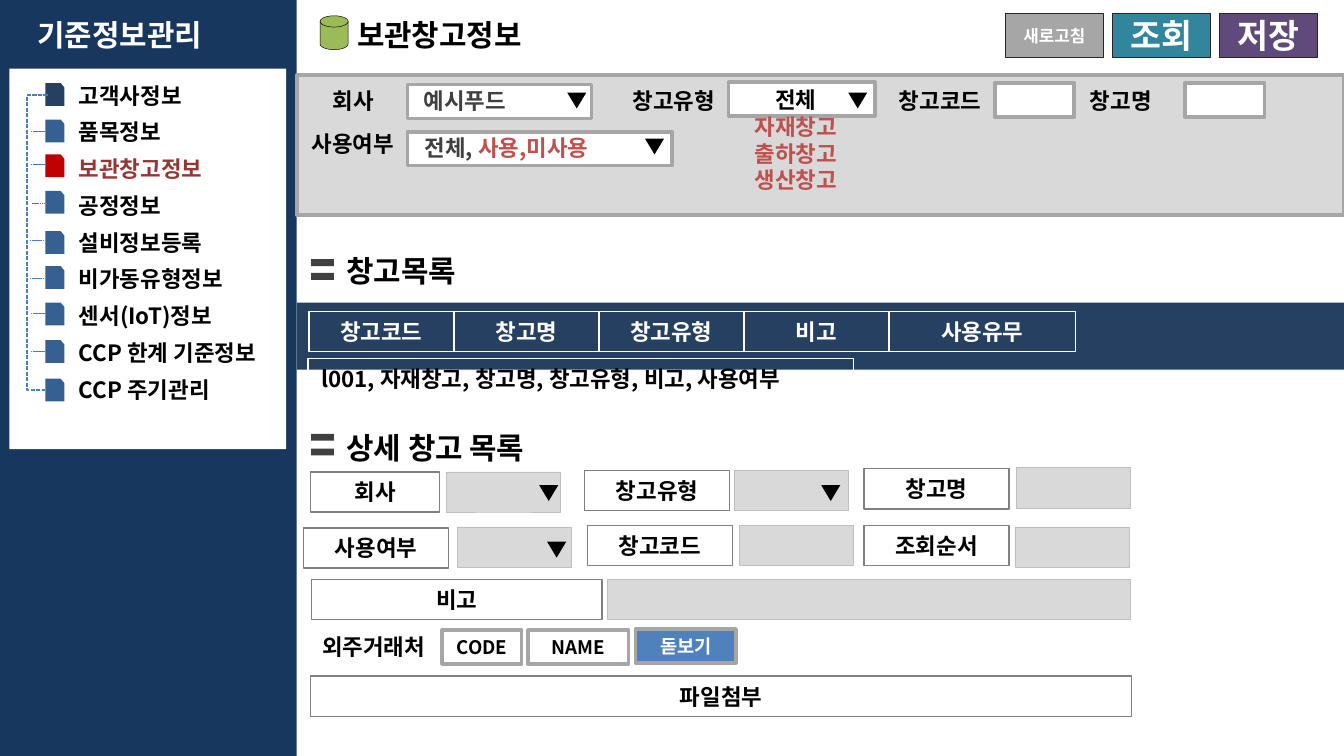
from dataclasses import dataclass
from lxml import etree
from pptx import Presentation
from pptx.dml.color import RGBColor
from pptx.enum.dml import MSO_LINE
from pptx.enum.shapes import MSO_CONNECTOR, MSO_SHAPE
from pptx.enum.text import MSO_ANCHOR, PP_ALIGN
from pptx.oxml.ns import qn
from pptx.util import Cm, Pt

RECT, TRIANGLE = MSO_SHAPE.RECTANGLE, MSO_SHAPE.ISOSCELES_TRIANGLE
CARD, DISK = MSO_SHAPE.FLOWCHART_CARD, MSO_SHAPE.FLOWCHART_MAGNETIC_DISK
STRAIGHT, ELBOW = MSO_CONNECTOR.STRAIGHT, MSO_CONNECTOR.ELBOW
LEFT, CENTER = PP_ALIGN.LEFT, PP_ALIGN.CENTER
TOP, MIDDLE = MSO_ANCHOR.TOP, MSO_ANCHOR.MIDDLE
DASH = MSO_LINE.SQUARE_DOT


@dataclass(frozen=True)
class Theme:
    font: str = "Noto Sans CJK KR"
    title: int = 16
    body: int = 12
    button: int = 18
    refresh: int = 9
    small: int = 10
    white: str = "FFFFFF"
    black: str = "000000"
    side: str = "17375E"
    navy: str = "254061"
    blue: str = "376092"
    link: str = "4B7EBC"
    lookup: str = "4F81BD"
    red: str = "C00000"
    active: str = "953735"
    option: str = "C0504D"
    green: str = "9BBB59"
    teal: str = "31859C"
    purple: str = "604A7B"
    dark: str = "404040"
    edge: str = "262626"
    label: str = "808080"
    border: str = "A6A6A6"
    rim: str = "BFBFBF"
    pale: str = "D9D9D9"


T = Theme()

# Content; all lengths are centimetres
MENU = [  # text, text width, icon top, text colour, icon colour
    ("고객사정보", 2.79, 1.57, T.black, T.navy),
    ("품목정보", 2.79, 2.26, T.black, T.blue),
    ("보관창고정보", 3.35, 2.92, T.active, T.red),
    ("공정정보", 3.35, 3.61, T.black, T.blue),
    ("설비정보등록", 3.35, 4.37, T.black, T.blue),
    ("비가동유형정보", 3.71, 5.03, T.black, T.blue),
    ("센서(IoT)정보", 3.71, 5.72, T.black, T.blue),
    ("CCP 한계 기준정보", 4.14, 6.43, T.black, T.blue),
    ("CCP 주기관리", 4.14, 7.16, T.black, T.blue),
]
MENU_FIRST, MENU_LAST = 1.42, 6.98
TICKS = [(0.58, 2.49), (0.58, 3.1), (0.61, 3.84), (0.56, 4.55),
         (0.56, 5.26), (0.58, 5.92), (0.58, 6.63)]
BUTTONS = [("새로고침", 19, T.border, T.refresh),
           ("조회", 21.03, T.teal, T.button),
           ("저장", 23.04, T.purple, T.button)]
FILTER_FIELDS = [(7.7, 1.6, 3.48), (13.77, 1.55, 2.77), (7.7, 2.49, 5),
                 (18.8, 1.57, 1.5), (22.4, 1.57, 1.5)]
FILTER_TEXTS = [  # paragraphs of (text, colour) runs, box, alignment
    ([[("회사", T.black)]], (5.84, 1.52, 1.68, 0.76), CENTER),
    ([[("예시푸드", T.dark)]], (7.67, 1.52, 2.24, 0.76), CENTER),
    ([[("사용여부", T.black)]], (5.64, 2.34, 3.23, 0.76), LEFT),
    ([[("전체, ", T.dark), ("사용,미사용", T.option)]],
     (7.11, 2.41, 4.93, 0.76), CENTER),
    ([[("창고유형", T.black)]], (11.71, 1.52, 2.39, 0.76), LEFT),
    ([[("창고코드", T.black)]], (16.74, 1.52, 2.44, 0.76), LEFT),
    ([[("창고명", T.black)]], (20.35, 1.52, 2.44, 0.76), LEFT),
    ([[("전체", T.black)], [("자재창고", T.option)],
      [("출하창고", T.option)], [("생산창고", T.option)]],
     (13.54, 1.5, 3, 2.31), CENTER),
]
SECTIONS = [("창고목록", 4.65, (4.9, 5.16)),
            ("상세 창고 목록", 8, (8.2, 8.48))]
COLUMNS = [("창고코드", 2.74), ("창고명", 2.74), ("창고유형", 2.74),
           ("비고", 2.74), ("사용유무", 3.53)]
LIST_ROW = "l001, 자재창고, 창고명, 창고유형, 비고, 사용여부"
FORM_LABELS = [
    ("회사", 5.87, 8.92, 2.44), ("창고유형", 11.05, 8.89, 2.74),
    ("창고명", 16.33, 8.86, 2.74), ("사용여부", 5.74, 9.98, 2.74),
    ("창고코드", 11.1, 9.93, 2.74), ("조회순서", 16.33, 9.93, 2.74),
    ("비고", 5.89, 10.95, 5.49), ("파일첨부", 5.87, 12.78, 15.52),
]
FORM_INPUTS = [(8.43, 8.92, 2.16), (13.87, 8.89, 2.16), (19.2, 8.84, 2.16),
               (8.64, 9.96, 2.16), (13.97, 9.93, 2.16), (19.18, 9.96, 2.16),
               (11.48, 10.95, 9.88)]
ARROWS = [(10.72, 1.75), (16.03, 1.75), (12.19, 2.62),
          (10.19, 9.17), (10.34, 10.24), (15.52, 9.17)]
VENDOR = [("CODE", 8.36, 11.91, 1.5, T.white, T.black),
          ("NAME", 9.98, 11.91, 1.9, T.white, T.black),
          ("돋보기", 12.01, 11.89, 1.9, T.lookup, T.white)]

prs = Presentation()
prs.slide_width, prs.slide_height = Cm(25.4), Cm(14.29)
s = prs.slides.add_slide(prs.slide_layouts[6])


def rgb(color):
    return RGBColor.from_string(color)


def write(sp, paragraphs, size=T.body, align=LEFT, anchor=TOP, wrap=True):
    tf = sp.text_frame
    tf.word_wrap, tf.vertical_anchor = wrap, anchor
    for i, runs in enumerate(paragraphs):
        p = tf.add_paragraph() if i else tf.paragraphs[0]
        p.alignment = align
        for text, color in runs:
            r = p.add_run()
            r.text = text
            r.font.size, r.font.bold, r.font.name = Pt(size), True, T.font
            r.font.color.rgb = rgb(color)
            etree.SubElement(r.font._element, qn("a:ea"), typeface=T.font)


def label(paragraphs, box, size=T.body, align=LEFT):
    write(s.shapes.add_textbox(*map(Cm, box)), paragraphs, size, align)


def shape(box, fill=None, line=None, width=0.75, kind=RECT):
    sp = s.shapes.add_shape(kind, *map(Cm, box))
    sp.shadow.inherit = False
    if fill:
        sp.fill.solid()
        sp.fill.fore_color.rgb = rgb(fill)
    else:
        sp.fill.background()
    if line:
        sp.line.color.rgb, sp.line.width = rgb(line), Pt(width)
    else:
        sp.line.fill.background()
    return sp


def dashed(kind, ends, width):
    cn = s.shapes.add_connector(kind, *map(Cm, ends))
    cn.line.color.rgb, cn.line.width = rgb(T.link), Pt(width)
    cn.line.dash_style = DASH
    etree.SubElement(cn._element.spPr, qn("a:effectLst"))
    return cn


# Sidebar menu
shape((0, 0, 5.61, 14.29), T.side)
label([[("기준정보관리", T.white)]], (0.46, 0.2, 4.39, 0.94), T.title)
shape((0.18, 1.3, 5.23, 7.19), T.white)
step = (MENU_LAST - MENU_FIRST) / (len(MENU) - 1)
for i, (text, width, icon_top, color, icon_color) in enumerate(MENU):
    label([[(text, color)]], (1.24, MENU_FIRST + i * step, width, 0.76))
    icon = shape((0.86, icon_top, 0.36, 0.43), icon_color, kind=CARD)
    icon._element.spPr.find(qn("a:xfrm")).set("flipH", "1")

# Tree lines: the bend lies left of both ends
start, end, bend = 0.9, 0.86, 0.51
tree = dashed(ELBOW, (start, 1.8, end, 7.37), 0.75)
guides = tree._element.spPr.find(qn("a:prstGeom")).find(qn("a:avLst"))
ratio = round((start - bend) / (start - end) * 100000)
etree.SubElement(guides, qn("a:gd"), name="adj1", fmla=f"val {ratio}")
for x, y in TICKS:
    dashed(STRAIGHT, (x, y, x + 0.26, y), 0.25)

# Page title and buttons
label([[("보관창고정보", T.black)]], (6.5, 0.2, 5.18, 0.94), T.title)
shape((6.05, 0.3, 0.53, 0.64), T.green, T.black, 0.25, DISK)
for text, x, fill, size in BUTTONS:
    sp = shape((x, 0.25, 1.85, 0.84), fill, T.edge, 0.25)
    write(sp, [[(text, T.white)]], size, CENTER, MIDDLE, False)

# Search filters
shape((5.61, 1.42, 19.79, 2.64), T.pale, T.border, 2)
for x, y, w in FILTER_FIELDS:
    shape((x, y, w, 0.64), T.white, T.border, 2)
for paragraphs, box, align in FILTER_TEXTS:
    label(paragraphs, box, align=align)

# Section headings
for text, top, bars in SECTIONS:
    label([[(text, T.black)]], (6.3, top, 4.98, 0.94), T.title)
    for y in bars:
        shape((5.88, y, 0.43, 0.13), T.dark)

# Warehouse list
shape((5.61, 5.72, 19.79, 1.27), T.navy)
x = 5.84
for text, w in COLUMNS:
    sp = shape((x, 5.89, w, 0.76), line=T.white)
    write(sp, [[(text, T.white)]], align=CENTER, anchor=MIDDLE)
    x += w
write(shape((5.82, 6.78, 10.31, 0.76), line=T.white),
      [[(LIST_ROW, T.black)]], anchor=MIDDLE)

# Detail form
for text, x, y, w in FORM_LABELS:
    sp = shape((x, y, w, 0.76), line=T.label)
    write(sp, [[(text, T.black)]], align=CENTER, anchor=MIDDLE)
for x, y, w in FORM_INPUTS:
    shape((x, y, w, 0.76), T.pale, T.rim, 0.25)
label([[("외주거래처", T.black)]], (5.84, 11.84, 2.74, 0.76))
for text, x, y, w, fill, color in VENDOR:
    sp = shape((x, y, w, 0.64), fill, T.border, 2)
    write(sp, [[(text, color)]], T.small, CENTER, MIDDLE, False)

# Drop-down arrows
for x, y in ARROWS:
    shape((x, y, 0.36, 0.3), T.black, kind=TRIANGLE).rotation = 180

prs.save("out.pptx")
